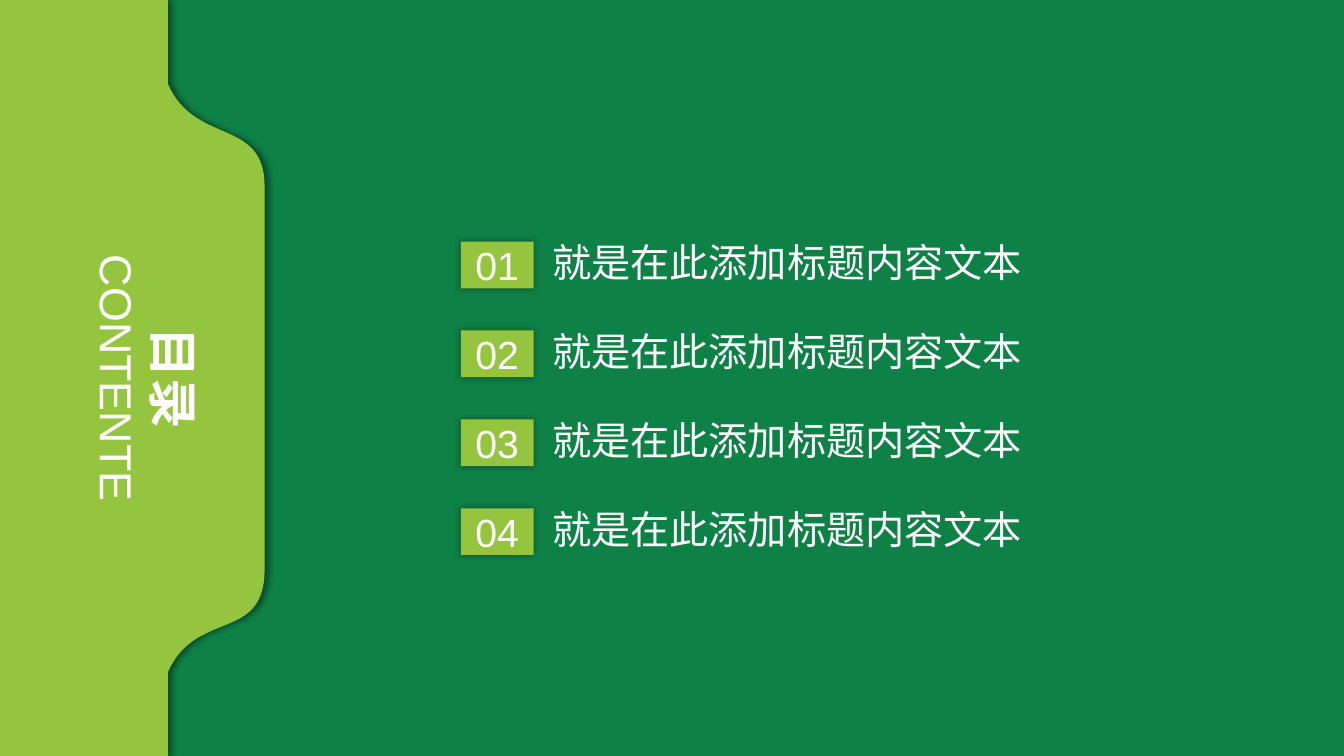
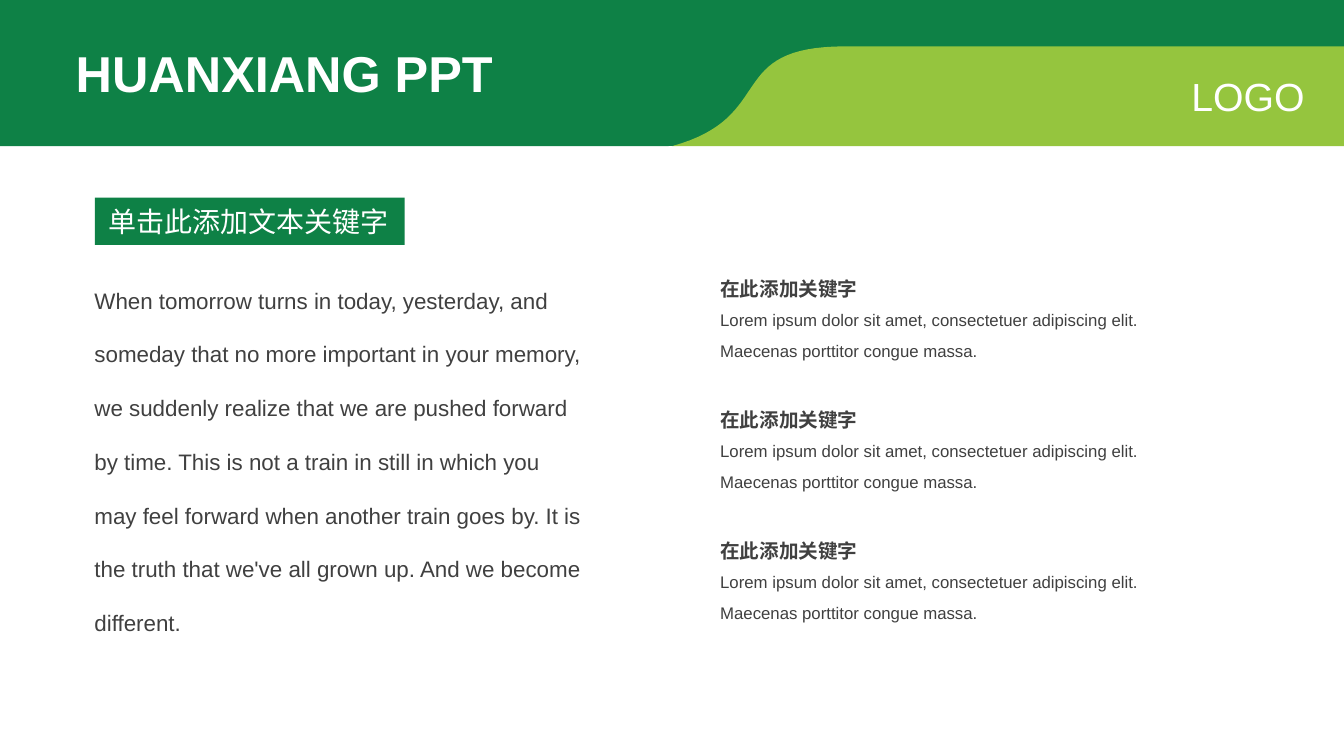
"""Build a contents slide and a text slide in two greens."""
from lxml.etree import SubElement
from pptx import Presentation
from pptx.dml.color import RGBColor
from pptx.enum.shapes import MSO_SHAPE
from pptx.enum.text import MSO_ANCHOR, MSO_AUTO_SIZE, PP_ALIGN
from pptx.oxml.ns import qn
from pptx.util import Pt

COLOURS = {"green": "0E8146", "lime": "95C53E", "white": "FFFFFF", "text": "404040", "shadow": "000000"}
FONT = "Arial"
WIDTH, HEIGHT = 960, 540
HEADER_HEIGHT = 104.4
LIME_TOP = 33.1
CURVE_STEPS = 32
WIDE_INSETS = (9.6, 4.8)

AGENDA = ["就是在此添加标题内容文本"] * 4
AGENDA_TOP, AGENDA_PITCH = 172.6, 63.5
KEYWORDS = [
    ("在此添加关键字", "Lorem ipsum dolor sit amet, consectetuer adipiscing elit. Maecenas porttitor congue massa."),
] * 3
KEYWORD_TOP, KEYWORD_PITCH = 184.3, 93.6
STORY = (
    "When tomorrow turns in today, yesterday, and someday that no more important in your memory, "
    "we suddenly realize that we are pushed forward by time. This is not a train in still in which "
    "you may feel forward when another train goes by. It is the truth that we've all grown up. "
    "And we become different."
)


def colour(name):
    return RGBColor.from_string(COLOURS[name])


def style_shape(shape, fill):
    shape.shadow.inherit = False
    shape.fill.solid()
    shape.fill.fore_color.rgb = colour(fill)
    shape.line.fill.background()


def add_shadow(shape, blur, distance=0):
    effects = shape.element.spPr.find(qn("a:effectLst"))
    shadow = SubElement(effects, qn("a:outerShdw"), blurRad=str(Pt(blur)), dist=str(Pt(distance)),
                        dir="0", algn="ctr", rotWithShape="0")
    shade = SubElement(shadow, qn("a:srgbClr"), val=COLOURS["shadow"])
    SubElement(shade, qn("a:alpha"), val="40000")


def add_rectangle(slide, left, top, width, height, fill):
    shape = slide.shapes.add_shape(MSO_SHAPE.RECTANGLE, Pt(left), Pt(top), Pt(width), Pt(height))
    style_shape(shape, fill)
    return shape


def curve(start, first, second, end):
    points = []
    for step in range(CURVE_STEPS + 1):
        t = step / CURVE_STEPS
        weights = ((1 - t) ** 3, 3 * t * (1 - t) ** 2, 3 * t * t * (1 - t), t ** 3)
        points.append(tuple(sum(w * p[axis] for w, p in zip(weights, (start, first, second, end)))
                            for axis in (0, 1)))
    return points


def add_outline(slide, points, fill):
    corners = [(Pt(x), Pt(y)) for x, y in points]
    builder = slide.shapes.build_freeform(*corners[0])
    builder.add_line_segments(corners[1:], close=True)
    shape = builder.convert_to_shape()
    style_shape(shape, fill)
    return shape


def write_text(shape, lines, ink="white", align=PP_ALIGN.LEFT, spacing=None,
               insets=(7.2, 3.6), wrap=True, anchor=MSO_ANCHOR.TOP, grow=True):
    frame = shape.text_frame
    frame.word_wrap = wrap
    frame.vertical_anchor = anchor
    frame.auto_size = MSO_AUTO_SIZE.SHAPE_TO_FIT_TEXT if grow else MSO_AUTO_SIZE.NONE
    frame.margin_left = frame.margin_right = Pt(insets[0])
    frame.margin_top = frame.margin_bottom = Pt(insets[1])
    for index, (text, size, bold) in enumerate(lines):
        paragraph = frame.add_paragraph() if index else frame.paragraphs[0]
        paragraph.alignment = align
        paragraph.line_spacing = spacing
        run = paragraph.add_run()
        run.text = text
        run.font.name = FONT
        run.font.size = Pt(size)
        run.font.bold = bold
        run.font.color.rgb = colour(ink)


def add_text(slide, left, top, width, height, lines, **options):
    box = slide.shapes.add_textbox(Pt(left), Pt(top), Pt(width), Pt(height))
    write_text(box, lines, **options)
    return box


def add_side_tab(slide):
    upper = curve((120, 60), (139, 104), (189, 84), (189, 133))
    lower = curve((189, 407), (189, 459), (140, 435), (120, 480))
    outline = [(0, 0), (120, 0), *upper, *lower, (120, HEIGHT), (0, HEIGHT)]
    add_shadow(add_outline(slide, outline, "lime"), blur=4, distance=3)
    title = add_text(slide, 2, 225.2, 206, 90, [("目录", 36, True), ("CONTENTE", 32, False)],
                     align=PP_ALIGN.CENTER)
    title.rotation = 90


def add_agenda_row(slide, number, text, top):
    add_text(slide, 387.4, top - 5.8, 353.5, 41, [(text, 28, False)], wrap=False)
    badge = add_rectangle(slide, 329.2, top, 52, 33.4, "lime")
    add_shadow(badge, blur=5)
    write_text(badge, [(f"{number:02}", 28, False)], align=PP_ALIGN.CENTER,
               anchor=MSO_ANCHOR.MIDDLE, grow=False)


def add_header(slide, title, label):
    green_edge = curve((582.5, 40.3), (523.4, 61.9), (554.4, HEADER_HEIGHT), (471.6, HEADER_HEIGHT))
    add_outline(slide, [(0, 0), (WIDTH, 0), (WIDTH, 36), (595.4, 36), *green_edge, (0, HEADER_HEIGHT)], "green")
    lime_edge = curve((480, HEADER_HEIGHT), (556.3, 83.5), (516.2, LIME_TOP), (604, LIME_TOP))
    add_outline(slide, [*lime_edge, (WIDTH, LIME_TOP), (WIDTH, HEADER_HEIGHT)], "lime")
    add_text(slide, 47, 26.6, 315.4, 51, [(title, 36, True)], wrap=False)
    add_text(slide, 842.4, 48.4, 96.5, 41, [(label, 28, False)], align=PP_ALIGN.RIGHT, wrap=False)


def build_contents(slide):
    add_rectangle(slide, 0, 0, WIDTH, HEIGHT, "green")
    add_side_tab(slide)
    for index, text in enumerate(AGENDA):
        add_agenda_row(slide, index + 1, text, AGENDA_TOP + index * AGENDA_PITCH)


def build_story(slide):
    add_header(slide, "HUANXIANG PPT", "LOGO")
    tag = add_rectangle(slide, 67.7, 141.2, 221.3, 33.8, "green")
    write_text(tag, [("单击此添加文本关键字", 20, False)], insets=WIDE_INSETS, wrap=False)
    add_text(slide, 60.4, 182.2, 364.3, 278.6, [(STORY, 16, False)], ink="text", spacing=2.0)
    for index, (heading, body) in enumerate(KEYWORDS):
        add_text(slide, 504.8, KEYWORD_TOP + index * KEYWORD_PITCH, 323.3, 78.5,
                 [(heading, 14, True), (body, 12, False)], ink="text", spacing=1.5, insets=WIDE_INSETS)


def main():
    presentation = Presentation()
    presentation.slide_width, presentation.slide_height = Pt(WIDTH), Pt(HEIGHT)
    for build in (build_contents, build_story):
        build(presentation.slides.add_slide(presentation.slide_layouts[6]))
    presentation.save("out.pptx")


if __name__ == "__main__":
    main()
